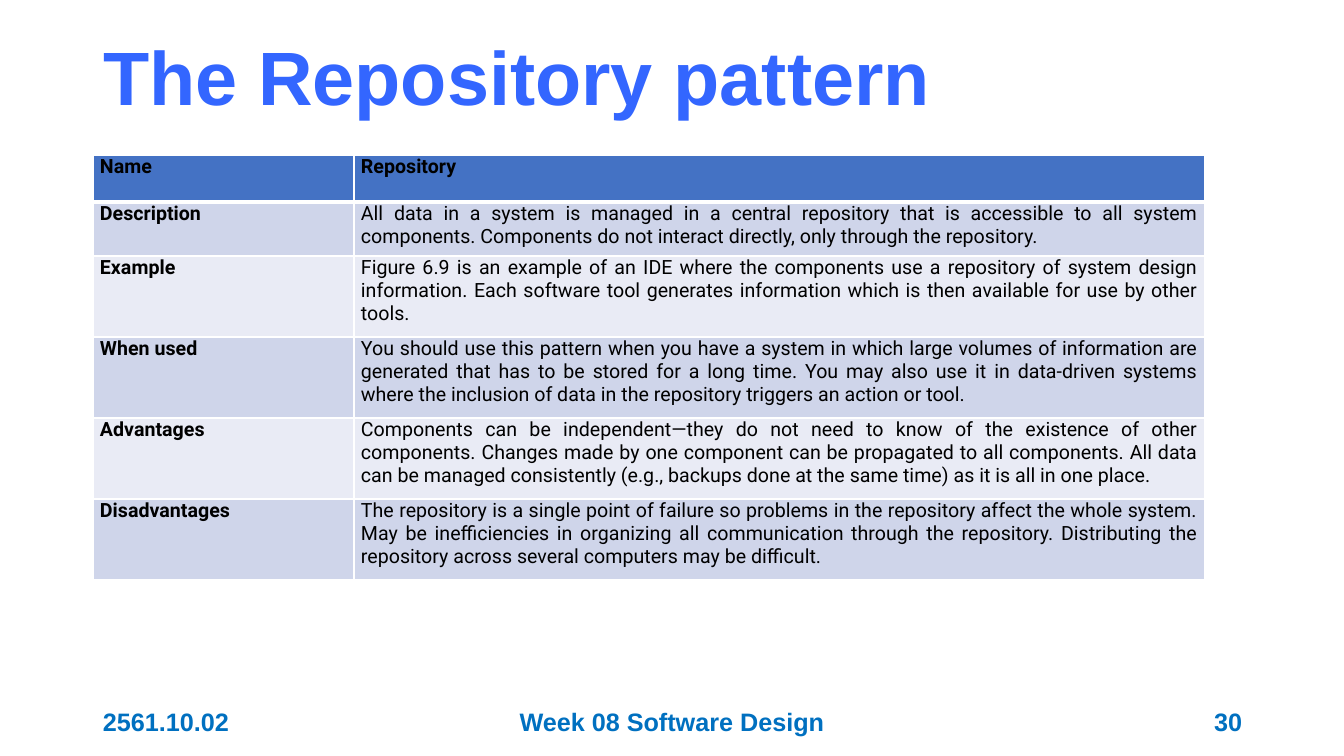
from lxml.etree import SubElement
from pptx import Presentation
from pptx.dml.color import RGBColor
from pptx.enum.text import MSO_ANCHOR as ANCHOR, PP_ALIGN as ALIGN
from pptx.oxml import parse_xml
from pptx.oxml.ns import nsdecls, qn
from pptx.util import Pt

TITLE = "The Repository pattern"
ROWS = [
    ("Name", "Repository", 47),
    ("Description", "All data in a system is managed in a central repository that is accessible to all system components. Components do not interact directly, only through the repository.", 54),
    ("Example", "Figure 6.9 is an example of an IDE where the components use a repository of system design information. Each software tool generates information which is then available for use by other tools.", 81),
    ("When used", "You should use this pattern when you have a system in which large volumes of information are generated that has to be stored for a long time. You may also use it in data-driven systems where the inclusion of data in the repository triggers an action or tool.", 81),
    ("Advantages", "Components can be independent—they do not need to know of the existence of other components. Changes made by one component can be propagated to all components. All data can be managed consistently (e.g., backups done at the same time) as it is all in one place.", 81),
    ("Disadvantages", "The repository is a single point of failure so problems in the repository affect the whole system. May be inefficiencies in organizing all communication through the repository. Distributing the repository across several computers may be difficult.", 81),
]
COL_WIDTHS = [261, 851]
FOOTERS = [
    ("2561.10.02", 93, 302, ALIGN.LEFT),
    ("Week 08 Software Design", 445, 454, ALIGN.CENTER),
    ("30", 950, 302, ALIGN.RIGHT),
]
COLORS = {
    "title": "3366FF",
    "footer": "0070C0",
    "text": "000000",
    "header": "4472C4",
    "odd": "CFD5EA",
    "even": "E9EBF5",
    "border": "FFFFFF",
}
LEFT, TABLE_TOP, FOOTER_TOP = 93, 155, 701
EMU_PER_PX = 914400 / 100.8


def px(n):
    return round(n * EMU_PER_PX)


def rgb(name):
    return RGBColor.from_string(COLORS[name])


def write(tf, text, size, font, color, bold, align):
    tf.word_wrap = True
    p = tf.paragraphs[0]
    p.text = text
    p.alignment = align
    f = p.runs[0].font
    f.size, f.name, f.bold = Pt(size), font, bold
    f.color.rgb = rgb(color)
    return p


def add_borders(cell, bottom):
    tcPr = cell._tc.get_or_add_tcPr()
    widths = {"lnL": 1, "lnR": 1, "lnT": 1, "lnB": bottom}
    for i, (side, width) in enumerate(widths.items()):
        ln = parse_xml(f'<a:{side} {nsdecls("a")} w="{Pt(width)}"/>')
        fill = SubElement(ln, qn("a:solidFill"))
        SubElement(fill, qn("a:srgbClr"), val=COLORS["border"])
        tcPr.insert(i, ln)


prs = Presentation()
prs.slide_width, prs.slide_height = px(1344), px(756)
s = prs.slides.add_slide(prs.slide_layouts[5])

title = s.shapes.title
title.left, title.top, title.width, title.height = px(LEFT), px(26), px(1159), px(110)
p = write(title.text_frame, TITLE, 54, "Arial", "title", True, ALIGN.LEFT)
p.line_spacing = 0.9
title.text_frame.vertical_anchor = ANCHOR.MIDDLE

for text, left, width, align in FOOTERS:
    tf = s.shapes.add_textbox(px(left), px(FOOTER_TOP), px(width), px(40)).text_frame
    write(tf, text, 18, "Arial", "footer", True, align)
    tf.vertical_anchor = ANCHOR.MIDDLE

table = s.shapes.add_table(
    len(ROWS), len(COL_WIDTHS), px(LEFT), px(TABLE_TOP),
    px(sum(COL_WIDTHS)), px(sum(row[-1] for row in ROWS)),
).table
for column, width in zip(table.columns, COL_WIDTHS):
    column.width = px(width)
for r, (name, detail, height) in enumerate(ROWS):
    table.rows[r].height = px(height)
    band = "header" if r == 0 else "odd" if r % 2 else "even"
    for c, text in enumerate((name, detail)):
        cell = table.cell(r, c)
        cell.margin_left = cell.margin_right = px(7)
        cell.margin_top = cell.margin_bottom = 0
        write(cell.text_frame, text, 14, "Roboto", "text", r == 0 or c == 0, ALIGN.JUSTIFY)
        cell.fill.solid()
        cell.fill.fore_color.rgb = rgb(band)
        add_borders(cell, 3 if r == 0 else 1)

prs.save("out.pptx")
